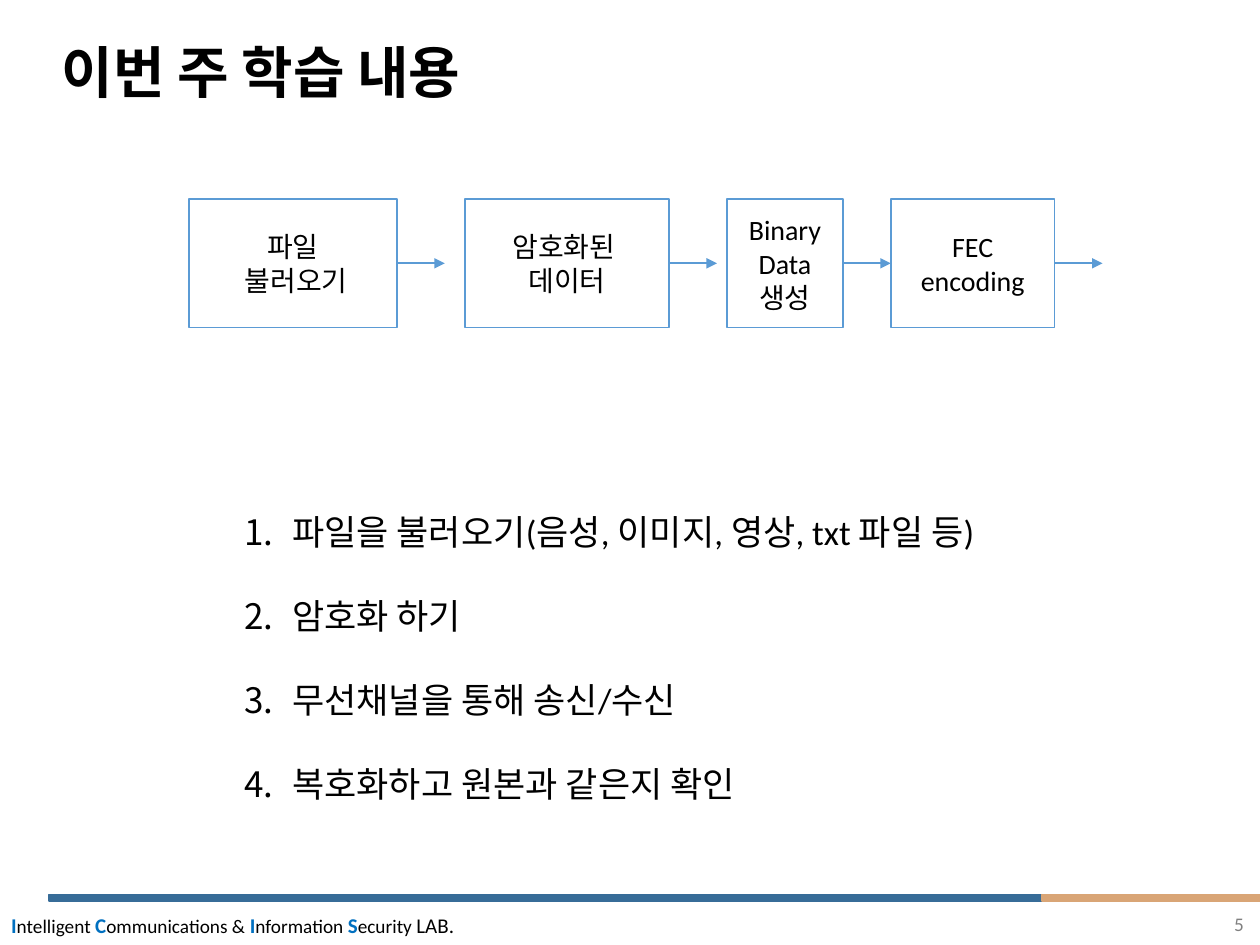
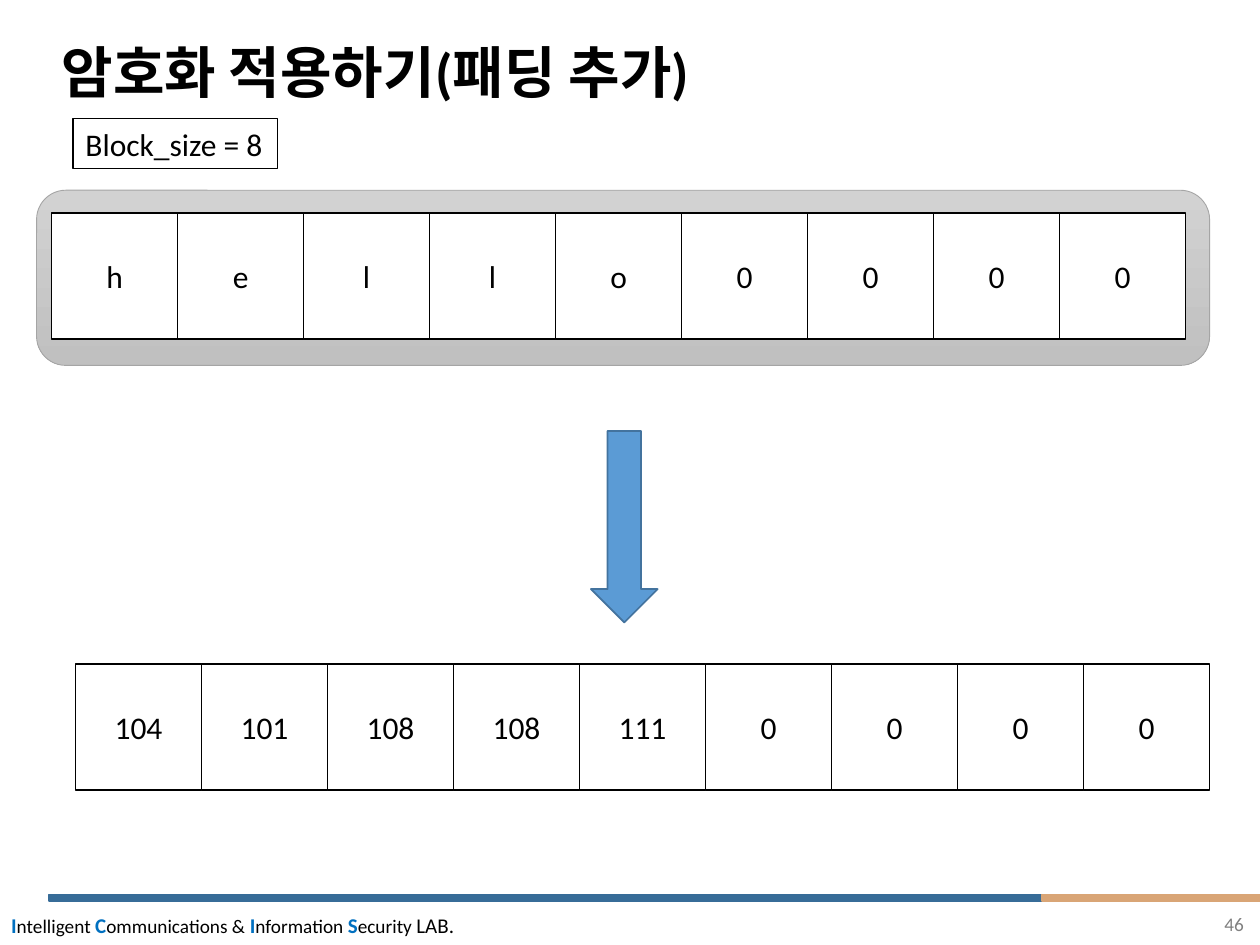
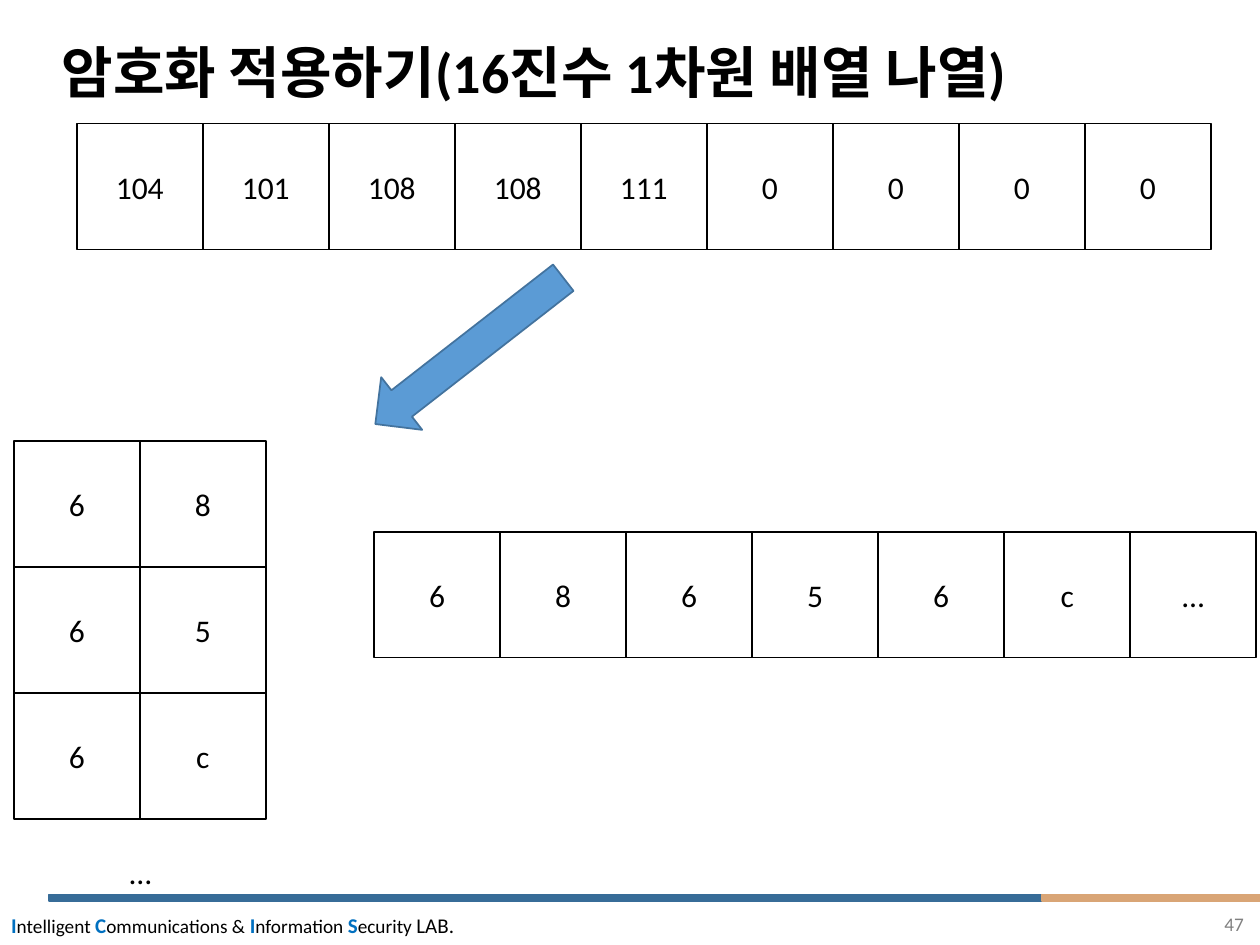
from dataclasses import dataclass

from lxml import etree
from pptx import Presentation
from pptx.dml.color import RGBColor
from pptx.enum.shapes import MSO_CONNECTOR, MSO_SHAPE
from pptx.enum.text import MSO_ANCHOR, PP_ALIGN
from pptx.oxml.ns import qn
from pptx.util import Inches, Pt

RECT = MSO_SHAPE.RECTANGLE
ROUNDED = MSO_SHAPE.ROUNDED_RECTANGLE
DOWN_ARROW = MSO_SHAPE.DOWN_ARROW
STRAIGHT = MSO_CONNECTOR.STRAIGHT
LEFT, CENTER, RIGHT = PP_ALIGN.LEFT, PP_ALIGN.CENTER, PP_ALIGN.RIGHT
TOP, MIDDLE = MSO_ANCHOR.TOP, MSO_ANCHOR.MIDDLE
LEFT_SIDE, RIGHT_SIDE = 1, 3


@dataclass(frozen=True)
class Theme:
    font: str = "Calibri"
    black: str = "000000"
    white: str = "FFFFFF"
    grey: str = "808080"
    blue: str = "5B9BD5"
    dark_blue: str = "43739E"
    initial: str = "0070C0"
    band: str = "376C98"
    band_end: str = "D9A576"
    tray_top: str = "D2D2D2"
    tray_bottom: str = "C0C0C0"
    tray_line: str = "A5A5A5"
    title_size: float = 32
    list_size: float = 20
    cell_size: float = 18
    step_size: float = 16
    initial_size: float = 12
    footer_size: float = 11


THEME = Theme()

# Shared by every slide
BANDS = [((0.39, 7.1, 7.93, 0.05), THEME.band), ((8.27, 7.1, 1.73, 0.05), THEME.band_end)]
LAB_WORDS = [("I", "ntelligent "), ("C", "ommunications & "), ("I", "nformation "), ("S", "ecurity ")]
LAB_END = "LAB."

# Learning plan
STEP_TOP, STEP_HEIGHT, ARROW_LENGTH = 1.58, 1.02, 0.38
STEPS = [  # left, width, lines
    (1.5, 1.65, ["파일", " 불러오기"]),
    (3.69, 1.62, ["암호화된 ", "데이터"]),
    (5.77, 0.92, ["Binary", "Data", "생성"]),
    (7.07, 1.3, ["FEC", "encoding"]),
]
TASKS = [
    "파일을 불러오기(음성, 이미지, 영상, txt 파일 등)",
    "암호화 하기",
    "무선채널을 통해 송신/수신",
    "복호화하고 원본과 같은지 확인",
]

# Padding and hexadecimal rows
CELL = 1
PADDED_TEXT = [["h", "e", "l", "l", "o", "0", "0", "0", "0"]]
PADDED_CODES = [["104", "101", "108", "108", "111", "0", "0", "0", "0"]]
HEX_PAIRS = [["6", "8"], ["6", "5"], ["6", "c"]]
HEX_ROW = [[digit for pair in HEX_PAIRS for digit in pair] + ["…"]]


def color(value):
    return RGBColor.from_string(value)


def format_span(span, size, ink=THEME.black, bold=False):
    span.font.name = THEME.font
    span.font.size = Pt(size)
    span.font.bold = bold
    span.font.color.rgb = color(ink)


def write(shape, lines, size, ink=THEME.black, bold=False, align=LEFT, anchor=TOP, wrap=True):
    frame = shape.text_frame
    frame.word_wrap = wrap
    frame.vertical_anchor = anchor
    frame.text = "\n".join(lines)
    for para in frame.paragraphs:
        para.alignment = align
        for span in para.runs:
            format_span(span, size, ink, bold)
    return frame


def add_text(page, place, lines, size, **style):
    box = page.shapes.add_textbox(*map(Inches, place))
    write(box, lines, size, **style)
    return box


def add_box(page, kind, place, fill, line, weight=1):
    box = page.shapes.add_shape(kind, *map(Inches, place))
    box.shadow.inherit = False
    box.fill.solid()
    box.fill.fore_color.rgb = color(fill)
    box.line.color.rgb = color(line)
    box.line.width = Pt(weight)
    return box


def add_down_arrow(page, place, rotation=0):
    arrow = add_box(page, DOWN_ARROW, place, THEME.blue, THEME.dark_blue)
    arrow.rotation = rotation


def add_cells(page, left, top, rows):
    for row, values in enumerate(rows):
        for column, value in enumerate(values):
            place = (left + column * CELL, top + row * CELL, CELL, CELL)
            cell = add_box(page, RECT, place, THEME.white, THEME.black)
            write(cell, [value], THEME.cell_size, align=CENTER, anchor=MIDDLE)


def add_page(deck, title, number):
    """Add a slide with the bands, lab name, title and page number."""
    page = deck.slides.add_slide(deck.slide_layouts[6])
    for place, fill in BANDS:
        add_box(page, RECT, place, fill, fill)

    lab = add_text(page, (-0.01, 7.19, 3.74, 0.3), [], THEME.footer_size, wrap=False)
    para = lab.text_frame.paragraphs[0]
    parts = []
    for initial, rest in LAB_WORDS:
        parts += [(initial, THEME.initial_size, THEME.initial, True),
                  (rest, THEME.footer_size, THEME.black, False)]
    parts.append((LAB_END, THEME.initial_size, THEME.black, False))
    for text, *style in parts:
        span = para.add_run()
        span.text = text
        format_span(span, *style)

    heading = add_text(page, (0.39, 0.2, 9.21, 0.79), [title], THEME.title_size,
                       bold=True, anchor=MIDDLE)
    heading.text_frame.paragraphs[0].line_spacing = 0.9
    add_text(page, (7.72, 7.19, 2.25, 0.4), [str(number)], THEME.footer_size,
             ink=THEME.grey, align=RIGHT)
    return page


def add_step_arrow(page, step, next_step):
    """Draw a fixed-length arrow from a step, joined to the next one if it reaches it."""
    start = step.left + step.width
    end = start + Inches(ARROW_LENGTH)
    middle = step.top + step.height // 2
    arrow = page.shapes.add_connector(STRAIGHT, start, middle, end, middle)
    arrow.begin_connect(step, RIGHT_SIDE)
    if next_step is not None and end >= next_step.left:
        arrow.end_connect(next_step, LEFT_SIDE)
    arrow.line.color.rgb = color(THEME.blue)
    arrow.line.width = Pt(1)
    etree.SubElement(arrow.line._get_or_add_ln(), qn("a:tailEnd"), type="triangle")
    etree.SubElement(arrow._element.spPr, qn("a:effectLst"))


def number_paragraphs(frame, indent, gap):
    for index, para in enumerate(frame.paragraphs):
        if index:
            para.space_before = Pt(gap)
        properties = para._p.get_or_add_pPr()
        properties.set("marL", str(Inches(indent)))
        properties.set("indent", str(-Inches(indent)))
        etree.SubElement(properties, qn("a:buFont"), typeface=THEME.font)
        etree.SubElement(properties, qn("a:buAutoNum"), type="arabicPeriod")


def build_plan(deck):
    page = add_page(deck, "이번 주 학습 내용", 5)
    steps = []
    for left, width, lines in STEPS:
        step = add_box(page, RECT, (left, STEP_TOP, width, STEP_HEIGHT), THEME.white, THEME.blue)
        write(step, lines, THEME.step_size, align=CENTER, anchor=MIDDLE)
        steps.append(step)
    for step, next_step in zip(steps, steps[1:] + [None]):
        add_step_arrow(page, step, next_step)
    tasks = add_text(page, (1.84, 4, 6.33, 2.46), TASKS, THEME.list_size)
    number_paragraphs(tasks.text_frame, 0.38, 24)


def build_padding(deck):
    page = add_page(deck, "암호화 적용하기(패딩 추가)", 46)
    tray = add_box(page, ROUNDED, (0.29, 1.51, 9.31, 1.39), THEME.tray_top, THEME.tray_line, 0.5)
    tray.fill.gradient()
    tray.fill.gradient_angle = 270
    for stop, shade in zip(tray.fill.gradient_stops, (THEME.tray_top, THEME.tray_bottom)):
        stop.color.rgb = color(shade)
    add_cells(page, 0.41, 1.69, PADDED_TEXT)
    block_size = add_box(page, RECT, (0.58, 0.94, 1.62, 0.4), THEME.white, THEME.black, 0.75)
    block_size.fill.background()
    write(block_size, ["Block_size = 8"], THEME.cell_size, wrap=False)
    add_cells(page, 0.6, 5.27, PADDED_CODES)
    add_down_arrow(page, (4.69, 3.42, 0.53, 1.52))


def build_hex(deck):
    page = add_page(deck, "암호화 적용하기(16진수 1차원 배열 나열)", 47)
    add_cells(page, 0.61, 0.98, PADDED_CODES)
    add_cells(page, 0.11, 3.5, HEX_PAIRS)
    add_cells(page, 2.97, 4.22, HEX_ROW)
    add_text(page, (0.93, 6.72, 0.38, 0.4), ["…"], THEME.cell_size, wrap=False)
    add_down_arrow(page, (3.46, 1.84, 0.53, 1.89), 52.1)


def main():
    deck = Presentation()
    deck.slide_width, deck.slide_height = Inches(10), Inches(7.5)
    build_plan(deck)
    build_padding(deck)
    build_hex(deck)
    deck.save("out.pptx")


if __name__ == "__main__":
    main()
